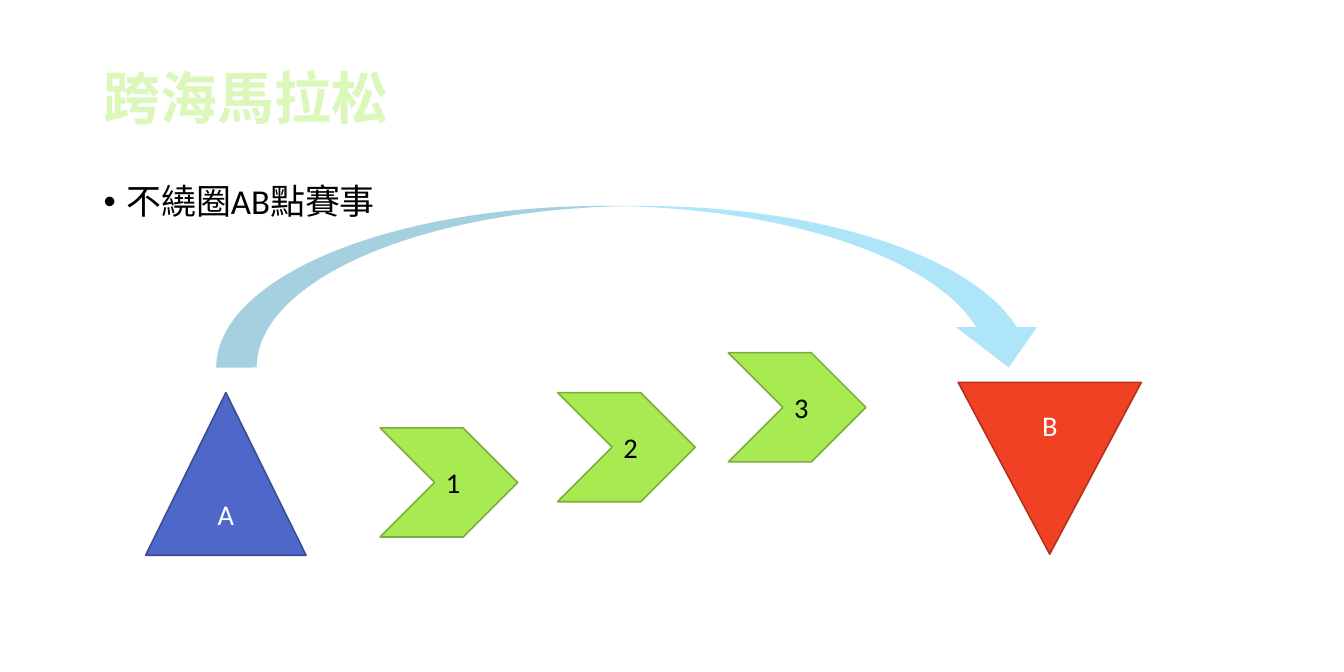
from dataclasses import dataclass

from lxml import etree
from pptx import Presentation
from pptx.dml.color import RGBColor
from pptx.enum.shapes import MSO_SHAPE
from pptx.enum.text import MSO_ANCHOR, PP_ALIGN
from pptx.oxml.ns import qn
from pptx.shapes.base import BaseShape
from pptx.slide import Slide
from pptx.util import Inches, Pt

TRIANGLE_UP = MSO_SHAPE.FLOWCHART_EXTRACT
TRIANGLE_DOWN = MSO_SHAPE.FLOWCHART_MERGE
CHEVRON = MSO_SHAPE.CHEVRON
CURVED_ARROW = MSO_SHAPE.CURVED_DOWN_ARROW
MIDDLE = MSO_ANCHOR.MIDDLE
TOP = MSO_ANCHOR.TOP
LEFT = PP_ALIGN.LEFT
CENTER = PP_ALIGN.CENTER

CM_PER_INCH = 2.54
PAGE_WIDTH = Inches(30 / CM_PER_INCH)
PAGE_HEIGHT = Inches(15 / CM_PER_INCH)
FONT = "Calibri"
COLORS = {
    "white": "FFFFFF",
    "black": "000000",
    "title": "DCF7BA",
    "start": "4E67C8",
    "start_line": "3A4C94",
    "step": "A7EA52",
    "step_line": "7CAD3D",
    "finish": "F14124",
    "finish_line": "B2301B",
    "route": "5ECCF3",
}


@dataclass(frozen=True)
class Marker:
    label: str
    kind: MSO_SHAPE
    box: tuple[float, float, float, float]
    color: str
    text_color: str


STEP_POSITIONS = [(3.34, 3.76), (4.9, 3.45), (6.4, 3.1)]
START = Marker("A", TRIANGLE_UP, (1.28, 3.45, 1.41, 1.43), "start", "white")
FINISH = Marker("B", TRIANGLE_DOWN, (8.42, 3.36, 1.61, 1.51), "finish", "white")
STEPS = [
    Marker(str(number), CHEVRON, (left, top, 1.21, 0.96), "step", "black")
    for number, (left, top) in enumerate(STEP_POSITIONS, start=1)
]
MARKERS = [START, STEPS[0], FINISH, *STEPS[1:]]


def rgb(name: str) -> RGBColor:
    return RGBColor.from_string(COLORS[name])


def write_text(shape: BaseShape, text: str, *, size: float, color: str,
               bold: bool = False, align: PP_ALIGN = LEFT,
               anchor: MSO_ANCHOR = MIDDLE) -> None:
    frame = shape.text_frame
    frame.word_wrap = True
    frame.vertical_anchor = anchor
    para = frame.paragraphs[0]
    para.alignment = align
    span = para.add_run()
    span.text = text
    span.font.name = FONT
    span.font.size = Pt(size)
    span.font.bold = bold
    span.font.color.rgb = rgb(color)


def place(shape: BaseShape, left: float, top: float, width: float, height: float) -> None:
    shape.left, shape.top = Inches(left), Inches(top)
    shape.width, shape.height = Inches(width), Inches(height)


def add_filled_shape(page: Slide, kind: MSO_SHAPE,
                     box: tuple[float, float, float, float], color: str) -> BaseShape:
    shape = page.shapes.add_shape(kind, *map(Inches, box))
    shape.shadow.inherit = False
    shape.fill.solid()
    shape.fill.fore_color.rgb = rgb(color)
    return shape


def add_marker(page: Slide, marker: Marker) -> None:
    shape = add_filled_shape(page, marker.kind, marker.box, marker.color)
    shape.line.color.rgb = rgb(f"{marker.color}_line")
    shape.line.width = Pt(1)
    write_text(shape, marker.label, size=18, color=marker.text_color, align=CENTER)


def add_route(page: Slide) -> None:
    arrow = add_filled_shape(page, CURVED_ARROW, (1.9, 1.81, 7.32, 1.42), "route")
    arrow.line.fill.background()
    fill_color = arrow.fill._xPr.find(qn("a:solidFill"))[0]
    etree.SubElement(fill_color, qn("a:alpha"), val="50000")


def add_bullet(shape: BaseShape, indent: float) -> None:
    para = shape.text_frame.paragraphs[0]
    para.line_spacing = 0.9
    para.space_before = Pt(7.9)
    properties = para._p.get_or_add_pPr()
    properties.set("marL", str(Inches(indent)))
    properties.set("indent", str(-Inches(indent)))
    etree.SubElement(properties, qn("a:buFont"), typeface="Arial")
    etree.SubElement(properties, qn("a:buChar"), char="•")


def main() -> None:
    deck = Presentation()
    deck.slide_width, deck.slide_height = PAGE_WIDTH, PAGE_HEIGHT
    page = deck.slides.add_slide(deck.slide_layouts[1])

    title, body = page.shapes.title, page.placeholders[1]
    place(title, 0.81, 0.28, 10.19, 1.14)
    write_text(title, "跨海馬拉松", size=36, color="title", bold=True)
    place(body, 0.81, 1.57, 10.19, 3.75)
    write_text(body, "不繞圈AB點賽事", size=22.1, color="black", anchor=TOP)
    add_bullet(body, 0.2)

    for marker in MARKERS:
        add_marker(page, marker)
    add_route(page)
    deck.save("out.pptx")


if __name__ == "__main__":
    main()
